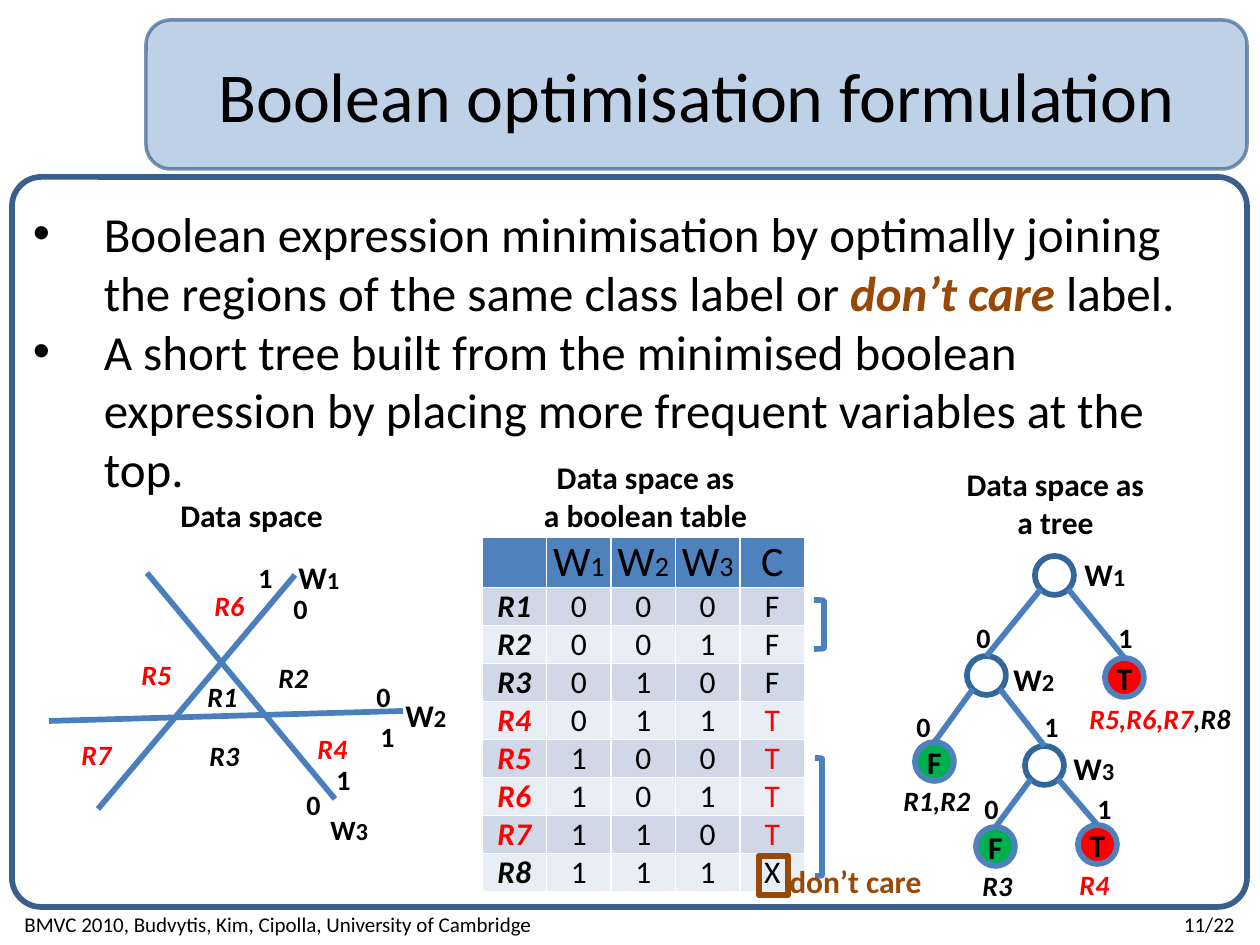
import pptx
import pptx.dml.color
import pptx.enum.shapes
import pptx.enum.text
import pptx.oxml.ns
import pptx.util
from lxml import etree

RGB = pptx.dml.color.RGBColor
SHAPE = pptx.enum.shapes.MSO_SHAPE
ALIGN = pptx.enum.text.PP_ALIGN
ANCHOR = pptx.enum.text.MSO_ANCHOR
qn = pptx.oxml.ns.qn

BLACK = RGB(0x00, 0x00, 0x00)
WHITE = RGB(0xFF, 0xFF, 0xFF)
RED = RGB(0xFF, 0x00, 0x00)
GREEN = RGB(0x00, 0xB0, 0x50)
BROWN = RGB(0x98, 0x48, 0x07)
BLUE = RGB(0x4F, 0x81, 0xBD)
LINE_BLUE = RGB(0x4B, 0x7E, 0xBC)
NODE_BLUE = RGB(0x33, 0x66, 0x99)
FRAME_BLUE = RGB(0x3A, 0x5F, 0x8C)
BAND_DARK = RGB(0xD0, 0xD8, 0xE8)
BAND_LIGHT = RGB(0xE9, 0xED, 0xF4)

EMU_PER_PX = 914400 / 126
NODE_SIZE = 39


def px(length):
    return pptx.util.Emu(round(length * EMU_PER_PX))


def write(frame, *paragraphs, size=16, color=BLACK, bold=False, italic=False,
          align=ALIGN.LEFT, anchor=ANCHOR.TOP, inset=None):
    """Fill a frame; a paragraph is a string or a list of (text, overrides) runs."""
    frame.word_wrap = True
    frame.vertical_anchor = anchor
    if inset is not None:
        frame.margin_left = frame.margin_right = px(inset)
        frame.margin_top = frame.margin_bottom = px(inset)
    for index, runs in enumerate(paragraphs):
        paragraph = frame.paragraphs[0] if index == 0 else frame.add_paragraph()
        paragraph.alignment = align
        for words, override in [(runs, {})] if isinstance(runs, str) else runs:
            run = paragraph.add_run()
            run.text = words
            run.font.name = "Calibri"
            run.font.size = pptx.util.Pt(override.get("size", size))
            run.font.bold = override.get("bold", bold)
            run.font.italic = override.get("italic", italic)
            run.font.color.rgb = override.get("color", color)


def add_label(slide, left, top, width, height, *paragraphs, **style):
    label = slide.shapes.add_textbox(px(left), px(top), px(width), px(height))
    write(label.text_frame, *paragraphs, **style)


def add_outlined(slide, kind, left, top, width, height, line, weight=3.25, fill=None):
    shape = slide.shapes.add_shape(kind, px(left), px(top), px(width), px(height))
    shape.shadow.inherit = False
    if fill is None:
        shape.fill.background()
    else:
        shape.fill.solid()
        shape.fill.fore_color.rgb = fill
    shape.line.color.rgb = line
    shape.line.width = pptx.util.Pt(weight)
    return shape


def add_line(slide, x1, y1, x2, y2):
    line = slide.shapes.add_connector(
        pptx.enum.shapes.MSO_CONNECTOR.STRAIGHT, px(x1), px(y1), px(x2), px(y2))
    line.line.color.rgb = LINE_BLUE
    line.line.width = pptx.util.Pt(3.25)
    etree.SubElement(line._element.spPr, qn("a:effectLst"))
    return line


def variable(number, small=14):
    return [("W", {}), (str(number), {"size": small})]


def build_title(slide, left, top, width, height):
    banner = add_outlined(slide, SHAPE.ROUNDED_RECTANGLE, left, top, width, height,
                          FRAME_BLUE, 2, BLUE)
    colors = banner._element.spPr.iter(qn("a:srgbClr"))
    for color, opacity in zip(list(colors), (36, 68)):
        etree.SubElement(color, qn("a:alpha"), val=str(opacity * 1000))
    write(banner.text_frame, "Boolean optimisation formulation", size=40,
          align=ALIGN.CENTER, anchor=ANCHOR.MIDDLE)


def build_body(slide, left, top, width, height):
    panel = add_outlined(slide, SHAPE.ROUNDED_RECTANGLE, left, top, width, height, FRAME_BLUE)
    panel.adjustments[0] = 0.04
    write(panel.text_frame,
          [("Boolean expression minimisation by optimally joining the regions of the "
            "same class label or ", {}),
           ("don’t care ", {"color": BROWN, "bold": True, "italic": True}),
           ("label.", {})],
          "A short tree built from the minimised boolean expression by placing more "
          "frequent variables at the top.", size=28)
    panel.text_frame.margin_top = px(18)
    for paragraph in panel.text_frame.paragraphs:
        properties = paragraph._p.get_or_add_pPr()
        properties.set("marL", str(px(71)))
        properties.set("indent", str(px(-71)))
        etree.SubElement(properties, qn("a:buFont"), typeface="Arial")
        etree.SubElement(properties, qn("a:buChar"), char="•")


def build_data_space(slide, left, top):
    add_label(slide, left + 128, top + 10, 266, 50, "Data space", size=18, bold=True)
    for x1, y1, x2, y2 in [(58, 329, 255, 95), (107, 93, 295, 319), (9, 241, 363, 231)]:
        add_line(slide, left + x1, top + y1, left + x2, top + y2)
    regions = [("R1", 155, 193, BLACK), ("R2", 226, 174, BLACK), ("R3", 157, 252, BLACK),
               ("R4", 265, 245, RED), ("R5", 89, 171, RED), ("R6", 162, 102, RED),
               ("R7", 29, 251, RED)]
    for region, x, y, color in regions:
        add_label(slide, left + x, top + y, 83, 57, region, color=color, bold=True, italic=True)
    for number, x, y, size in [(1, 246, 72, 18), (2, 353, 210, 18), (3, 278, 326, 16)]:
        add_label(slide, left + x, top + y, 94, 34, variable(number), size=size, bold=True)
    sides = [("0", 254, 301), ("0", 241, 105), ("0", 324, 193),
             ("1", 284, 276), ("1", 206, 74), ("1", 328, 233)]
    for side, x, y in sides:
        add_label(slide, left + x, top + y, 44, 29, side, bold=True)


def build_boolean_table(slide, left, top):
    classes = "FFFTTTTX"
    header_height, row_height, column_width = 50, 38, 64.5
    table = slide.shapes.add_table(
        len(classes) + 1, 5, px(left + 70), px(top + 86), px(column_width * 5),
        px(header_height + row_height * len(classes))).table
    for column in table.columns:
        column.width = px(column_width)
    rows = [[[], *(variable(n, 16) for n in (1, 2, 3)), "C"]]
    rows += [[f"R{n + 1}", *f"{n:03b}", label] for n, label in enumerate(classes)]
    for r, values in enumerate(rows):
        table.rows[r].height = px(row_height if r else header_height)
        for c, value in enumerate(values):
            cell = table.cell(r, c)
            cell.fill.solid()
            cell.fill.fore_color.rgb = (BAND_DARK if r % 2 else BAND_LIGHT) if r else BLUE
            cell.margin_left = cell.margin_right = cell.margin_top = cell.margin_bottom = 0
            is_region = r > 0 and c == 0
            is_true = values[-1] == "T" and c in (0, 4)
            write(cell.text_frame, value, size=18 if r else 24, bold=is_region,
                  italic=is_region, color=RED if is_true else BLACK, align=ALIGN.CENTER)
    for x, y, width, height in [(403, 307, 7, 118), (402, 149, 10, 49)]:
        add_outlined(slide, SHAPE.RIGHT_BRACKET, left + x, top + y, width, height, LINE_BLUE)
    add_outlined(slide, SHAPE.RECTANGLE, left + 347, top + 405, 29, 39, BROWN, 3.75)
    add_label(slide, left - 3, top + 1, 473, 89, "Data space as", "a boolean table",
              size=18, bold=True, align=ALIGN.CENTER)
    add_label(slide, left + 365, top + 405, 178, 50, "don’t care",
              size=18, bold=True, color=BROWN)


def build_tree(slide, left, top):
    add_label(slide, left + 30, top + 9, 289, 89, "Data space as", "a tree",
              size=18, bold=True, align=ALIGN.CENTER)
    places = {"W1": (154, 106), "W2": (86, 206), "W3": (144, 296), "R1,R2": (34, 292),
              "R3": (95, 377), "R4": (197, 375), "R5-R8": (224, 208)}
    leaves = {"R1,R2": ("F", GREEN), "R3": ("F", GREEN), "R4": ("T", RED), "R5-R8": ("T", RED)}
    nodes = {}
    for name, (x, y) in places.items():
        decision, fill = leaves.get(name, ("", WHITE))
        nodes[name] = add_outlined(slide, SHAPE.OVAL, left + x, top + y, NODE_SIZE, NODE_SIZE,
                                   BLUE if decision else NODE_BLUE, fill=fill)
        if decision:
            write(nodes[name].text_frame, decision, size=18, bold=True,
                  align=ALIGN.CENTER, anchor=ANCHOR.MIDDLE, inset=0)
    branches = {"W1": ("W2", "R5-R8"), "W2": ("R1,R2", "W3"), "W3": ("R3", "R4")}
    for parent, children in branches.items():
        x, y = places[parent]
        for child, side in zip(children, (-1, 1)):
            start_x = left + x + NODE_SIZE / 2 + side * NODE_SIZE * 0.35
            start_y = top + y + NODE_SIZE * 0.85
            branch = add_line(slide, start_x, start_y, start_x, start_y)
            branch.end_connect(nodes[child], 0)
    for number, x, y in [(1, 191, 99), (2, 120, 204), (3, 180, 293)]:
        add_label(slide, left + x, top + y, 74, 39, variable(number), size=18, bold=True)
    bits = [("0", 83, 164), ("1", 225, 164), ("0", 23, 253), ("1", 151, 253),
            ("0", 91, 335), ("1", 204, 335)]
    for bit, x, y in bits:
        add_label(slide, left + x, top + y, 34, 32, bit, bold=True)
    captions = [("R1,R2", 10, 327, 128, BLACK), ("R3", 89, 412, 100, BLACK),
                ("R4", 186, 411, 115, RED),
                ([("R5,R6,R7", {"color": RED}), (",R8", {})], 196, 245, 180, BLACK)]
    for regions, x, y, width, color in captions:
        add_label(slide, left + x, top + y, width, 38, regions,
                  color=color, bold=True, italic=True)


def build_footer(slide, left, top, width, height):
    add_label(slide, left, top, 659, height,
              "BMVC 2010, Budvytis, Kim, Cipolla, University of Cambridge", size=12)
    add_label(slide, left + width - 95, top, 95, height, "11/22", size=12, align=ALIGN.RIGHT)


def main():
    deck = pptx.Presentation()
    deck.slide_width, deck.slide_height = px(1260), px(945)
    slide = deck.slides.add_slide(deck.slide_layouts[6])
    build_title(slide, 146, 20, 1101, 149)
    build_body(slide, 12, 177, 1235, 730)
    build_footer(slide, 12, 905, 1235, 38)
    build_data_space(slide, 40, 480)
    build_boolean_table(slide, 412, 451)
    build_tree(slide, 881, 450)
    deck.save("out.pptx")


if __name__ == "__main__":
    main()
